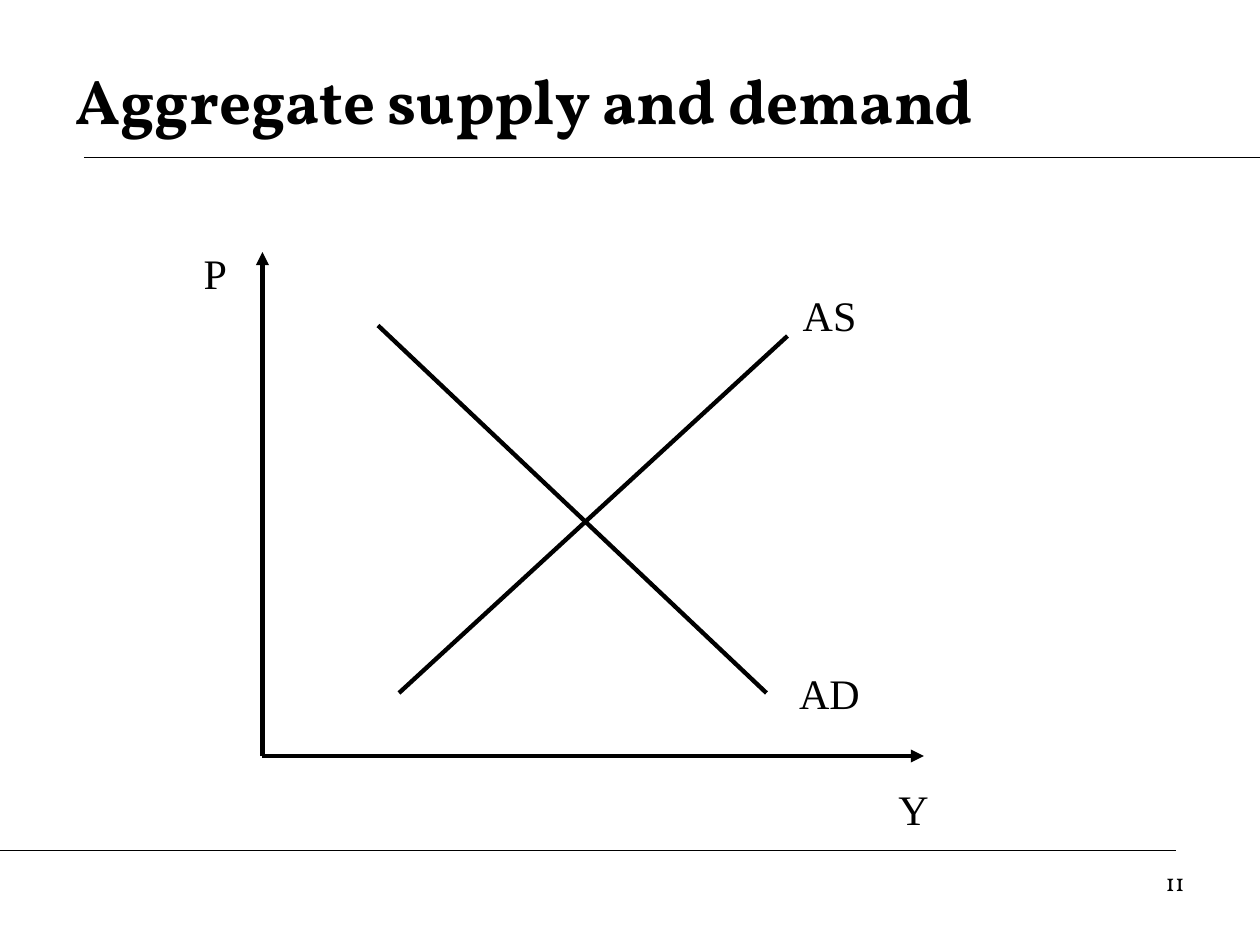
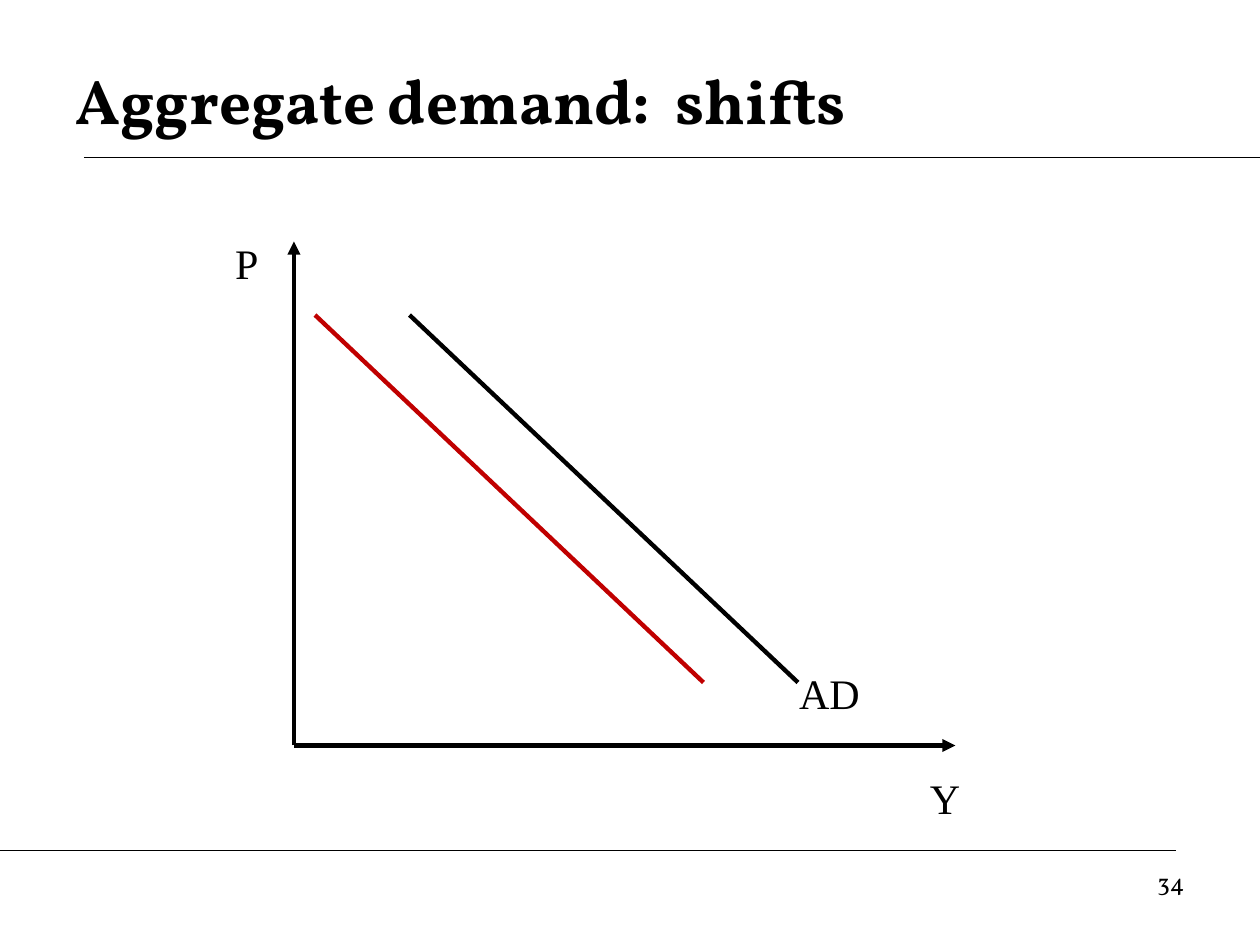
from typing import NamedTuple

import pptx
import pptx.dml.color
import pptx.enum.shapes
import pptx.enum.text
import pptx.oxml.ns
import pptx.util
from lxml import etree

Pt = pptx.util.Pt
RGBColor = pptx.dml.color.RGBColor
Align = pptx.enum.text.PP_ALIGN
Anchor = pptx.enum.text.MSO_ANCHOR

BLACK = RGBColor(0x00, 0x00, 0x00)
RED = RGBColor(0xC0, 0x00, 0x00)
HEADING_FONT = "Vollkorn"
LABEL_FONT = "Times New Roman"
SLIDE_WIDTH, SLIDE_HEIGHT = 720, 540
X_AXIS_LENGTH, Y_AXIS_LENGTH = 378, 288


class Point(NamedTuple):
    x: float
    y: float


class Line(NamedTuple):
    start: Point
    end: Point
    color: RGBColor = BLACK
    width: float = 2.5
    arrow: bool = False


class Label(NamedTuple):
    text: str
    left: float
    top: float
    width: float


class Diagram(NamedTuple):
    title: str
    number: str
    origin: Point
    curves: list[Line]
    labels: list[Label]


# Rules above and below the content
RULES = [
    Line(Point(48, 90), Point(SLIDE_WIDTH, 90), width=0.75),
    Line(Point(0, 486), Point(672, 486), width=0.75),
]

# Axes, curves and labels, measured from the origin of the diagram
AXES = [
    Line(Point(0, 0), Point(X_AXIS_LENGTH, 0), arrow=True),
    Line(Point(0, 0), Point(0, -Y_AXIS_LENGTH), arrow=True),
]
AXIS_LABELS = [Label("Y", 348, 12, 48), Label("P", -48, -294, 42)]
SUPPLY = Line(Point(78, -36), Point(300, -240))
DEMAND = Line(Point(288, -36), Point(66, -246))
SHIFT = 54
SHIFTED_DEMAND = Line(
    Point(DEMAND.start.x - SHIFT, DEMAND.start.y),
    Point(DEMAND.end.x - SHIFT, DEMAND.end.y),
    color=RED,
)

DIAGRAMS = [
    Diagram("Aggregate supply and demand", "11", Point(150, 432),
            [SUPPLY, DEMAND],
            [Label("AS", 300, -270, 48), Label("AD", 294, -54, 60)]),
    Diagram("Aggregate demand:  shifts", "34", Point(168, 426),
            [DEMAND, SHIFTED_DEMAND],
            [Label("AD", 276, -48, 60)]),
]


def add_text(slide, text: str, left: float, top: float, width: float, height: float, *,
             size: float, font: str, bold: bool = False,
             align=Align.LEFT, anchor=Anchor.TOP) -> None:
    box = slide.shapes.add_textbox(Pt(left), Pt(top), Pt(width), Pt(height))
    frame = box.text_frame
    frame.word_wrap = True
    frame.vertical_anchor = anchor
    paragraph = frame.paragraphs[0]
    paragraph.alignment = align
    run = paragraph.add_run()
    run.text = text
    run.font.name = font
    run.font.size = Pt(size)
    run.font.bold = bold
    run.font.color.rgb = BLACK


def add_line(slide, line: Line, origin: Point = Point(0, 0)) -> None:
    connector = slide.shapes.add_connector(
        pptx.enum.shapes.MSO_CONNECTOR.STRAIGHT,
        Pt(origin.x + line.start.x), Pt(origin.y + line.start.y),
        Pt(origin.x + line.end.x), Pt(origin.y + line.end.y))
    connector.line.color.rgb = line.color
    connector.line.width = Pt(line.width)
    if line.arrow:
        outline = connector.line._get_or_add_ln()
        etree.SubElement(outline, pptx.oxml.ns.qn("a:tailEnd"), type="triangle")
    # An empty effect list removes the theme shadow
    etree.SubElement(connector._element.spPr, pptx.oxml.ns.qn("a:effectLst"))


def add_frame(slide, title: str, number: str) -> None:
    for rule in RULES:
        add_line(slide, rule)
    add_text(slide, title, 36, 24, 648, 66, size=36, font=HEADING_FONT,
             bold=True, anchor=Anchor.MIDDLE)
    add_text(slide, number, 516, 492, 168, 37.5, size=14, font=HEADING_FONT,
             align=Align.RIGHT)


def add_diagram(slide, diagram: Diagram) -> None:
    origin = diagram.origin
    for line in AXES + diagram.curves:
        add_line(slide, line, origin)
    for label in AXIS_LABELS + diagram.labels:
        add_text(slide, label.text, origin.x + label.left, origin.y + label.top,
                 label.width, 36, size=24, font=LABEL_FONT, align=Align.CENTER)


def main() -> None:
    presentation = pptx.Presentation()
    presentation.slide_width = Pt(SLIDE_WIDTH)
    presentation.slide_height = Pt(SLIDE_HEIGHT)
    blank_layout = presentation.slide_layouts[6]
    for diagram in DIAGRAMS:
        slide = presentation.slides.add_slide(blank_layout)
        add_frame(slide, diagram.title, diagram.number)
        add_diagram(slide, diagram)
    presentation.save("out.pptx")


if __name__ == "__main__":
    main()
